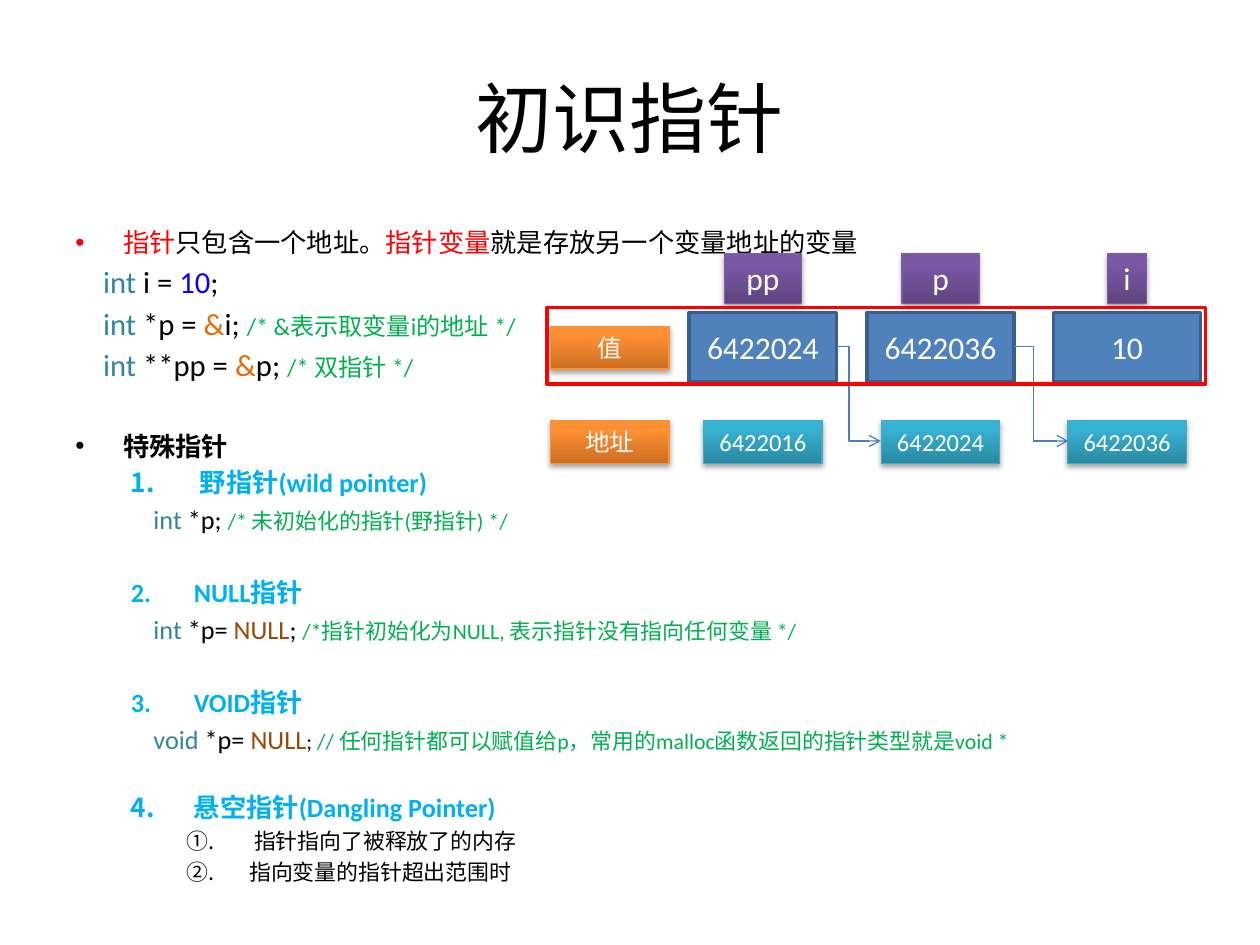
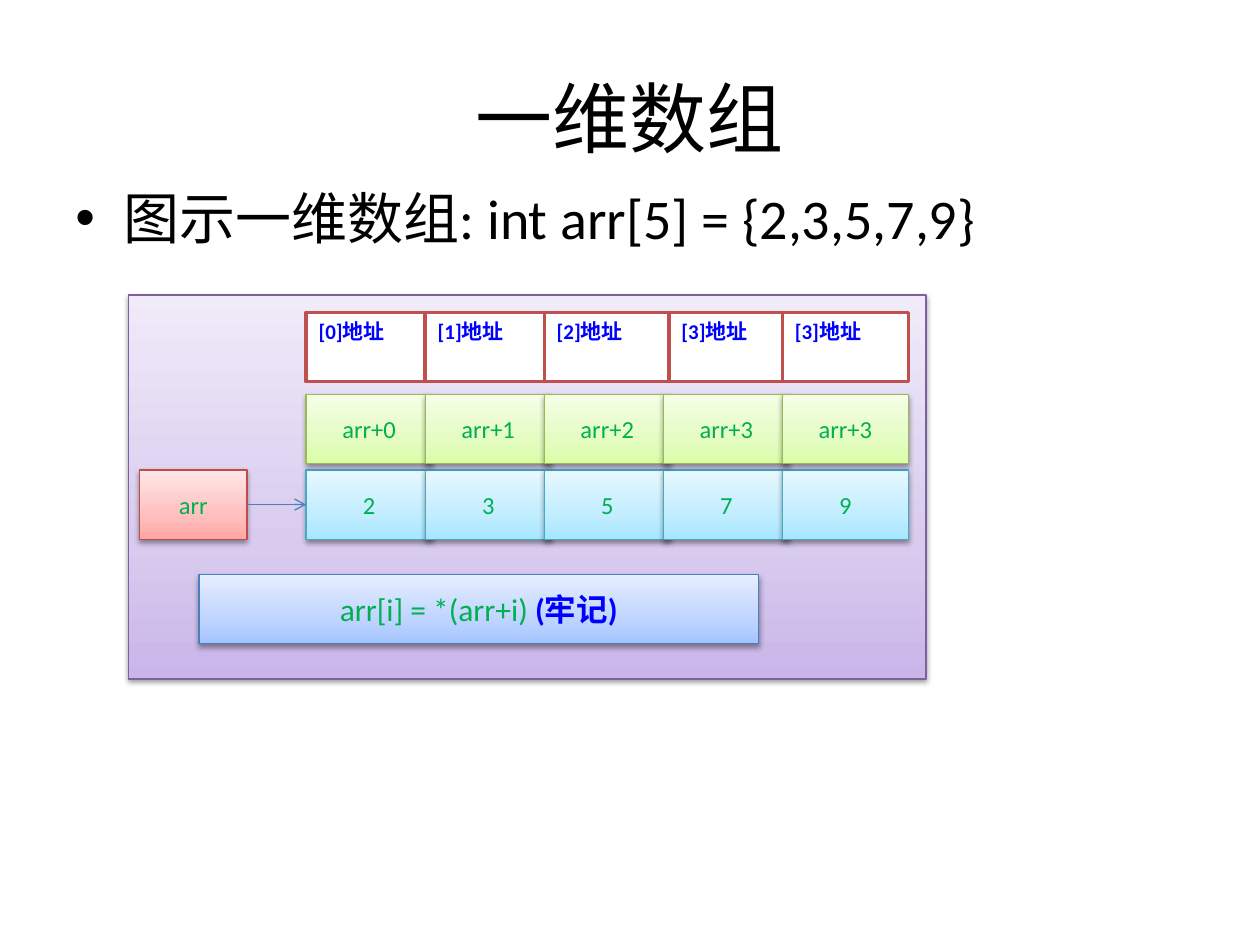
from lxml.etree import SubElement
from pptx import Presentation
from pptx.dml.color import RGBColor
from pptx.enum.shapes import MSO_CONNECTOR, MSO_SHAPE
from pptx.enum.text import MSO_ANCHOR, PP_ALIGN
from pptx.oxml.ns import qn
from pptx.util import Inches, Pt

FONT = "Calibri"
BLACK, WHITE, RED, BLUE = "000000", "FFFFFF", "FF0000", "0000FF"
KEYWORD, COMMENT, OPERATOR = "31859C", "00B050", "E46C0A"
HEADING, CONSTANT, ARROW = "00B0F0", "984807", "4B7EBC"

# Gradient stops run from the bottom edge to the top edge
STRONG, SOFT = (0, 80, 100), (0, 35, 100)
STRONG_SHADOW, SOFT_SHADOW = (35, 1.8), (38, 1.6)  # opacity %, distance pt
# name: (gradient colours, outline, stop positions, shadow)
STYLES = {
    "name": (("5F4480", "7B58A6", "7C57A8"), "7D60A0", STRONG, STRONG_SHADOW),
    "address": (("2A88A2", "37B1D2", "34B4D6"), "46AAC5", STRONG, STRONG_SHADOW),
    "label": (("CC6E20", "FF9034", "FF9136"), "F69240", STRONG, STRONG_SHADOW),
    "panel": (("C9B5E8", "D8CBEE", "F0EAF9"), "7D60A0", SOFT, SOFT_SHADOW),
    "array": (("FFA6A5", "FFC0BF", "FFE7E7"), "BF4C48", SOFT, SOFT_SHADOW),
    "element": (("A7E6FF", "C1EDFF", "E7F8FF"), "46AAC5", SOFT, SOFT_SHADOW),
    "offset": (("DAFDA7", "E4FCC2", "F5FFE7"), "98B955", SOFT, SOFT_SHADOW),
    "formula": (("A4C4FF", "BFD4FF", "E6EEFF"), "4B7EBC", SOFT, SOFT_SHADOW),
}


def rgb(color):
    return RGBColor.from_string(color)


def add_run(paragraph, text, size, color=BLACK, bold=False):
    run = paragraph.add_run()
    run.text = text
    run.font.name = FONT
    run.font.size = Pt(size)
    run.font.bold = bold
    run.font.color.rgb = rgb(color)


def add_textbox(slide, left, top, width, height, anchor=MSO_ANCHOR.TOP):
    frame = slide.shapes.add_textbox(
        Inches(left), Inches(top), Inches(width), Inches(height)).text_frame
    frame.word_wrap = True
    frame.vertical_anchor = anchor
    return frame


def add_title(slide, text):
    paragraph = add_textbox(slide, 0.5, 0.3, 9, 1.25, MSO_ANCHOR.MIDDLE).paragraphs[0]
    paragraph.alignment = PP_ALIGN.CENTER
    add_run(paragraph, text, 44)


def set_indent(paragraph, left, hanging=0):
    properties = paragraph._p.get_or_add_pPr()
    properties.set("marL", str(Inches(left)))
    properties.set("indent", str(-Inches(hanging)))
    return properties


def add_bullet(paragraph):
    properties = set_indent(paragraph, 0.38, 0.38)
    SubElement(properties, qn("a:buFont"), typeface="Arial")
    SubElement(properties, qn("a:buChar"), char="•")


def add_number(paragraph, left, scheme, start):
    properties = set_indent(paragraph, left, 0.5)
    SubElement(properties, qn("a:buFont"), typeface="+mj-lt")
    SubElement(properties, qn("a:buAutoNum"), type=scheme, startAt=str(start))


def add_line(frame, runs, before=2.8):
    """Append a paragraph of (text, size, colour, bold) runs."""
    first = frame.paragraphs[0]
    paragraph = frame.add_paragraph() if first.runs else first
    paragraph.space_before = Pt(before)
    for run in runs:
        add_run(paragraph, *run)
    return paragraph


def add_box(slide, left, top, width, height, runs=(), fill=None, line=BLACK,
            line_width=2, anchor=MSO_ANCHOR.MIDDLE, align=PP_ALIGN.CENTER):
    box = slide.shapes.add_shape(
        MSO_SHAPE.RECTANGLE, Inches(left), Inches(top), Inches(width), Inches(height))
    box.shadow.inherit = False
    if fill:
        box.fill.solid()
        box.fill.fore_color.rgb = rgb(fill)
    else:
        box.fill.background()
    box.line.color.rgb = rgb(line)
    box.line.width = Pt(line_width)
    frame = box.text_frame
    frame.word_wrap = True
    frame.vertical_anchor = anchor
    frame.paragraphs[0].alignment = align
    for run in runs:
        add_run(frame.paragraphs[0], *run)
    return box


def add_gradient_box(slide, style, left, top, width, height, runs=(),
                     anchor=MSO_ANCHOR.MIDDLE):
    colors, line, positions, (opacity, distance) = STYLES[style]
    box = add_box(slide, left, top, width, height, runs, None, line, 0.75, anchor)
    box.fill.gradient()
    box.fill.gradient_angle = 90
    properties = box._element.spPr
    stops = properties.find(".//" + qn("a:gsLst"))
    stops.clear()
    for position, color in zip(positions, colors):
        stop = SubElement(stops, qn("a:gs"), pos=str(position * 1000))
        SubElement(stop, qn("a:srgbClr"), val=color)
    shadow = SubElement(
        properties.find(qn("a:effectLst")), qn("a:outerShdw"), blurRad=str(Pt(3.1)),
        dist=str(Pt(distance)), dir="5400000", rotWithShape="0")
    shade = SubElement(shadow, qn("a:srgbClr"), val=BLACK)
    SubElement(shade, qn("a:alpha"), val=str(opacity * 1000))
    return box


def add_arrow(slide, kind, start, end):
    arrow = slide.shapes.add_connector(kind, *map(Inches, start + end))
    arrow.line.color.rgb = rgb(ARROW)
    arrow.line.width = Pt(0.75)
    SubElement(arrow.line._get_or_add_ln(), qn("a:tailEnd"), type="arrow")
    SubElement(arrow._element.spPr, qn("a:effectLst"))
    return arrow


def add_elbow_arrow(slide, start, end, bend):
    arrow = add_arrow(slide, MSO_CONNECTOR.ELBOW, start, end)
    guides = arrow._element.spPr.find(qn("a:prstGeom")).get_or_add_avLst()
    SubElement(guides, qn("a:gd"), name="adj1", fmla=f"val {round(bend * 100000)}")


def add_pointer_text(slide):
    frame = add_textbox(slide, 0.5, 1.75, 9, 5.44)

    # Definition and declarations
    add_bullet(add_line(frame, [
        ("指针", 15, RED), ("只包含一个地址。", 15),
        ("指针变量", 15, RED), ("就是存放另一个变量地址的变量", 15)]))
    declarations = [
        [("i = ", 17.5), ("10", 17.5, BLUE), (";", 17.5)],
        [("*p = ", 17.5), ("&", 17.5, OPERATOR), ("i; ", 17.5),
         ("/* &表示取变量i的地址 */", 13.8, COMMENT)],
        [("**pp = ", 17.5), ("&", 17.5, OPERATOR), ("p; ", 17.5),
         ("/* 双指针 */", 13.8, COMMENT)],
    ]
    for declaration in declarations:
        set_indent(add_line(frame, [("int ", 17.5, KEYWORD)] + declaration), 0.22)

    # Special pointers: heading, space above it, code
    add_bullet(add_line(frame, [("特殊指针", 15, BLACK, True)], 27))
    null_code = [("*p= ", 15), ("NULL", 15, CONSTANT)]
    special_pointers = [
        (" 野指针(wild pointer)", 2.8,
         [("int ", 15, KEYWORD), ("*p; ", 15),
          ("/* 未初始化的指针(野指针) */", 12.5, COMMENT)]),
        ("NULL指针", 24,
         [("int ", 15, KEYWORD), *null_code, ("; ", 15),
          ("/*指针初始化为NULL, 表示指针没有指向任何变量 */", 12.5, COMMENT)]),
        ("VOID指针", 24,
         [("void ", 15, KEYWORD), *null_code, ("; ", 12.5),
          ("// 任何指针都可以赋值给p，常用的malloc函数返回的指针类型就是void *",
           12.5, COMMENT)]),
        ("悬空指针(Dangling Pointer)", 20.8, None),
    ]
    for number, (heading, before, code) in enumerate(special_pointers, 1):
        line = add_line(frame, [(heading, 15, HEADING, True)], before)
        add_number(line, 0.94, "arabicPeriod", number)
        if code:
            set_indent(add_line(frame, code), 0.62)

    # Causes of a dangling pointer
    for number, cause in enumerate((" 指针指向了被释放了的内存", "指向变量的指针超出范围时"), 1):
        add_number(add_line(frame, [(cause, 12.5)]), 1.38, "circleNumDbPlain", number)


def add_memory_diagram(slide):
    value_top, address_top = 2.48, 3.34
    value_width, name_height, address_width, address_height = 1.17, 0.4, 0.94, 0.34
    # name, name width, value, address, left of the value box
    variables = [
        ("pp", 0.61, "6422024", "6422016", 5.47),
        ("p", 0.61, "6422036", "6422024", 6.88),
        ("i", 0.31, "10", "6422036", 8.36),
    ]
    for name, name_width, value, address, left in variables:
        center = left + value_width / 2
        add_box(slide, left, value_top, value_width, 0.55, [(value, 18, WHITE)],
                "4F81BD", "3A5F8C")
        add_gradient_box(slide, "name", center - name_width / 2, 2.01, name_width,
                         name_height, [(name, 18, WHITE)], MSO_ANCHOR.TOP)
        add_gradient_box(slide, "address", center - address_width / 2, address_top,
                         address_width, address_height, [(address, 14, WHITE)],
                         MSO_ANCHOR.TOP)

    # Each pointer value leads to the next variable's address
    for start, end, bend in ((6.64, 6.99, 0.28), (8.05, 8.48, 0.35)):
        add_elbow_arrow(slide, (start, 2.75), (end, 3.5), bend)

    # Row labels and the frame around the values
    for label, top in (("地址", address_top), ("值", 2.59)):
        add_gradient_box(slide, "label", 4.37, top, address_width, address_height,
                         [(label, 14, WHITE)], MSO_ANCHOR.TOP)
    add_box(slide, 4.34, 2.44, 5.23, 0.61, line=RED)


def add_array_diagram(slide):
    cell_height, element_top = 0.55, 3.73
    cell_lefts = [2.43 + (6.21 - 2.43) / 4 * i for i in range(5)]
    address_lefts = cell_lefts[:3] + [5.31] + cell_lefts[4:]
    indices = (0, 1, 2, 3, 3)

    add_gradient_box(slide, "panel", 1.02, 2.34, 6.33, 3.05)
    array = add_gradient_box(slide, "array", 1.11, element_top, 0.85, cell_height,
                             [("arr", 14, COMMENT)])

    # Rows of elements, offsets and addresses
    elements = [
        add_gradient_box(slide, "element", left, element_top, 1, cell_height,
                         [(value, 14, COMMENT)])
        for left, value in zip(cell_lefts, "23579")]
    for left, index in zip(cell_lefts, indices):
        add_gradient_box(slide, "offset", left, 3.13, 1, cell_height,
                         [(f"arr+{index}", 14, COMMENT)])
    for left, index in zip(address_lefts, indices):
        add_box(slide, left, 2.48, 1, cell_height, [(f"[{index}]地址", 12, BLUE, True)],
                WHITE, "C0504D", anchor=MSO_ANCHOR.TOP, align=PP_ALIGN.LEFT)

    # The array name points at the first element
    arrow = add_arrow(slide, MSO_CONNECTOR.STRAIGHT, (1.96, 4.01), (2.43, 4.01))
    arrow.begin_connect(array, 3)
    arrow.end_connect(elements[0], 1)

    add_gradient_box(slide, "formula", 1.58, 4.56, 4.44, cell_height,
                     [("arr[i] = *(arr+i) ", 18, COMMENT), ("(牢记)", 18, BLUE, True)])


def main():
    presentation = Presentation()
    presentation.slide_width = Inches(10)
    presentation.slide_height = Inches(7.5)
    blank = presentation.slide_layouts[6]

    # Slide 1: pointers
    pointers = presentation.slides.add_slide(blank)
    add_title(pointers, "初识指针")
    add_pointer_text(pointers)
    add_memory_diagram(pointers)

    # Slide 2: one-dimensional arrays
    arrays = presentation.slides.add_slide(blank)
    add_title(arrays, "一维数组")
    intro = add_textbox(arrays, 0.5, 1.41, 9, 5.29)
    add_bullet(add_line(intro, [("图示一维数组: int arr[5] = {2,3,5,7,9}", 32)]))
    add_array_diagram(arrays)

    presentation.save("out.pptx")


if __name__ == "__main__":
    main()
